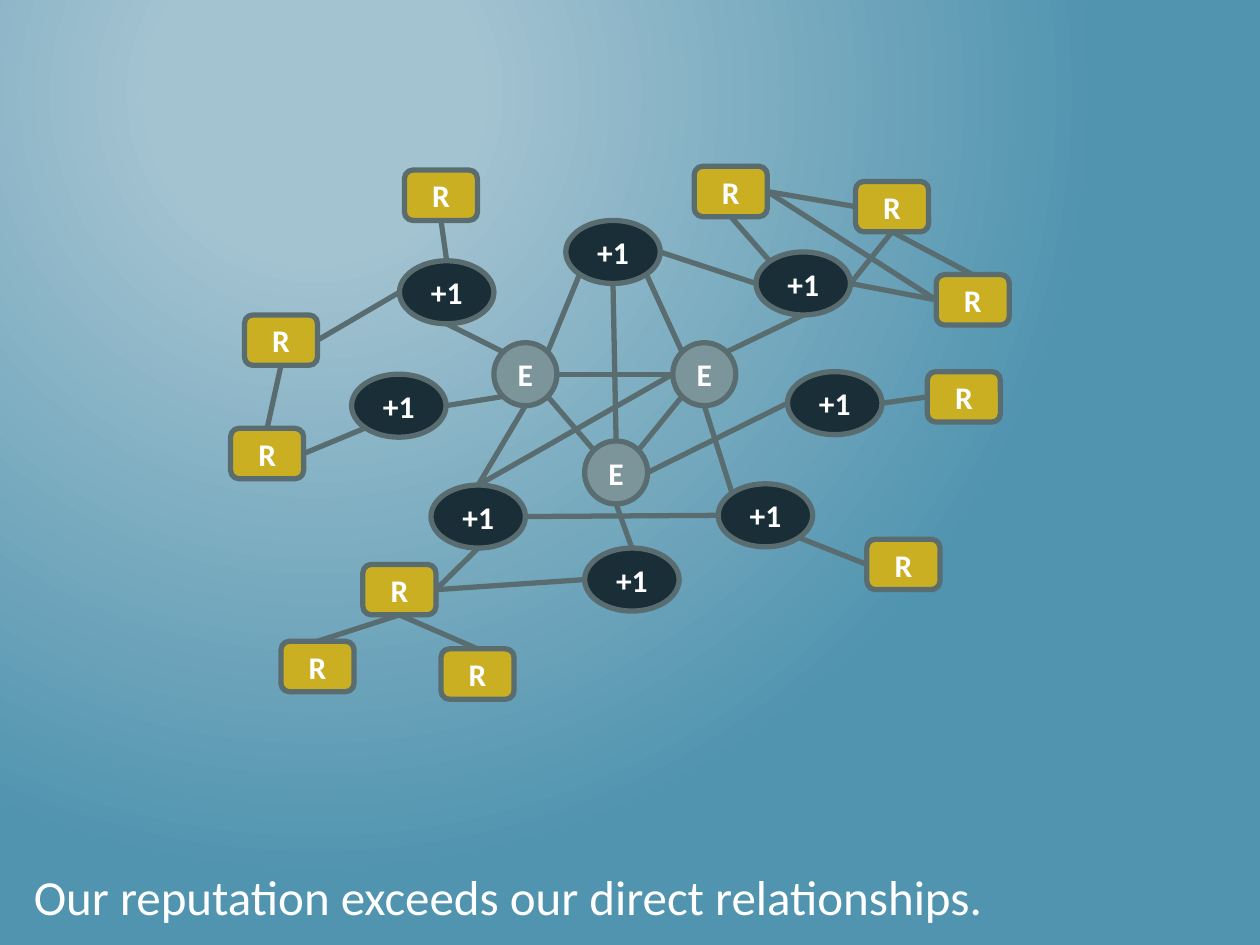
"""Build a slide showing a network of direct and indirect relationships."""
from math import sqrt

from lxml.etree import SubElement
from pptx import Presentation
from pptx.dml.color import RGBColor
from pptx.enum.shapes import MSO_CONNECTOR, MSO_SHAPE
from pptx.enum.text import MSO_ANCHOR, MSO_AUTO_SIZE, PP_ALIGN
from pptx.oxml.ns import qn
from pptx.util import Inches, Pt

WHITE = RGBColor(0xFF, 0xFF, 0xFF)
GREY = RGBColor(0x7C, 0x95, 0x9A)
NAVY = RGBColor(0x19, 0x2E, 0x37)
GOLD = RGBColor(0xCB, 0xAF, 0x22)
OUTLINE = RGBColor(0x59, 0x6C, 0x70)
SKY = RGBColor(0xA3, 0xC3, 0xD1)
TEAL = RGBColor(0x51, 0x94, 0xAF)

KINDS = {
    "E": (MSO_SHAPE.OVAL, GREY, 0.5, 0.5),
    "+1": (MSO_SHAPE.OVAL, NAVY, 0.75, 0.5),
    "R": (MSO_SHAPE.ROUNDED_RECTANGLE, GOLD, 0.58, 0.4),
}
NODES = {
    "employee west": ("E", 3.92, 2.72),
    "employee east": ("E", 5.34, 2.72),
    "employee south": ("E", 4.64, 3.5),
    "contact northwest": ("+1", 3.17, 2.07),
    "contact north": ("+1", 4.49, 1.75),
    "contact northeast": ("+1", 6, 2),
    "contact west": ("+1", 2.79, 2.97),
    "contact east": ("+1", 6.25, 2.95),
    "contact southwest": ("+1", 3.42, 3.85),
    "contact south": ("+1", 4.64, 4.35),
    "contact southeast": ("+1", 5.7, 3.84),
    "reach northwest": ("R", 3.21, 1.35),
    "reach north": ("R", 5.51, 1.32),
    "reach northeast": ("R", 6.79, 1.44),
    "reach far east": ("R", 7.43, 2.18),
    "reach east": ("R", 7.36, 2.95),
    "reach southeast": ("R", 6.88, 4.28),
    "reach west": ("R", 1.94, 2.5),
    "reach far west": ("R", 1.83, 3.4),
    "reach southwest": ("R", 2.88, 4.48),
    "reach lower left": ("R", 2.23, 5.09),
    "reach lower right": ("R", 3.5, 5.15),
}
LINKS = [
    ("employee west", "SE", "employee south", "NW"),
    ("employee west", "E", "employee east", "W"),
    ("employee east", "SW", "employee south", "NE"),
    ("contact north", "SW", "employee west", "NE"),
    ("contact north", "SE", "employee east", "NW"),
    ("contact north", "S", "employee south", "N"),
    ("contact north", "E", "contact northeast", "W"),
    ("contact northwest", "S", "employee west", "NW"),
    ("contact northeast", "S", "employee east", "NE"),
    ("contact west", "E", "employee west", "SW"),
    ("contact southwest", "N", "employee east", "W"),
    ("contact southwest", "N", "employee west", "S"),
    ("contact southwest", "E", "contact southeast", "W"),
    ("contact southeast", "NW", "employee east", "S"),
    ("contact east", "W", "employee south", "E"),
    ("contact south", "N", "employee south", "S"),
    ("reach far west", "E", "contact west", "SW"),
    ("reach west", "S", "reach far west", "N"),
    ("reach west", "E", "contact northwest", "W"),
    ("reach northwest", "S", "contact northwest", "N"),
    ("reach north", "E", "reach northeast", "W"),
    ("reach north", "S", "contact northeast", "NW"),
    ("reach north", "E", "reach far east", "W"),
    ("reach northeast", "S", "contact northeast", "E"),
    ("reach northeast", "S", "reach far east", "N"),
    ("reach far east", "W", "contact northeast", "E"),
    ("reach east", "W", "contact east", "E"),
    ("reach southeast", "W", "contact southeast", "SE"),
    ("reach southwest", "S", "reach lower right", "N"),
    ("reach southwest", "S", "reach lower left", "N"),
    ("reach southwest", "E", "contact southwest", "S"),
    ("reach southwest", "E", "contact south", "W"),
]


def edge_point(node, side):
    kind, left, top = NODES[node]
    _, _, width, height = KINDS[kind]
    reach = 0.5 / sqrt(len(side))
    across = ("E" in side) - ("W" in side)
    down = ("S" in side) - ("N" in side)
    return (Inches(left + width * (0.5 + reach * across)),
            Inches(top + height * (0.5 + reach * down)))


def write_text(shape, text, frame_format, font_format):
    for name, value in frame_format.items():
        setattr(shape.text_frame, name, value)
    paragraph = shape.text_frame.paragraphs[0]
    run = paragraph.add_run()
    run.text = text
    run.font.color.rgb = WHITE
    for name, value in {"name": "Calibri", **font_format}.items():
        setattr(run.font, name, value)
    return paragraph


presentation = Presentation()
presentation.slide_width = Inches(10)
presentation.slide_height = Inches(7.5)
slide = presentation.slides.add_slide(presentation.slide_layouts[6])

background = slide.background.fill
background.gradient()
for stop, position, color in zip(background.gradient_stops, (0.2, 1), (SKY, TEAL)):
    stop.color.rgb = color
    stop.position = position
gradient = slide.element.find(".//" + qn("a:gradFill"))
gradient.remove(gradient.find(qn("a:lin")))
circle = SubElement(gradient, qn("a:path"), {"path": "circle"})
SubElement(circle, qn("a:fillToRect"),
           {"l": "50000", "t": "20000", "r": "100000", "b": "100000"})

for start, start_side, end, end_side in LINKS:
    connector = slide.shapes.add_connector(
        MSO_CONNECTOR.STRAIGHT, *edge_point(start, start_side), *edge_point(end, end_side))
    connector.line.color.rgb = OUTLINE
    connector.line.width = Pt(3)
    SubElement(connector.element.spPr, qn("a:effectLst"))

for kind, left, top in NODES.values():
    preset, color, width, height = KINDS[kind]
    shape = slide.shapes.add_shape(
        preset, Inches(left), Inches(top), Inches(width), Inches(height))
    shape.shadow.inherit = False
    shape.fill.solid()
    shape.fill.fore_color.rgb = color
    shape.line.color.rgb = OUTLINE
    shape.line.width = Pt(3)
    label = write_text(shape, kind, {"vertical_anchor": MSO_ANCHOR.MIDDLE},
                       {"size": Pt(18), "bold": True})
    label.alignment = PP_ALIGN.CENTER

caption = slide.shapes.add_textbox(Inches(0.17), Inches(6.83), Inches(8.11), Inches(0.57))
write_text(caption, "Our reputation exceeds our direct relationships.",
           {"word_wrap": False, "auto_size": MSO_AUTO_SIZE.SHAPE_TO_FIT_TEXT},
           {"size": Pt(28)})

presentation.save("out.pptx")
